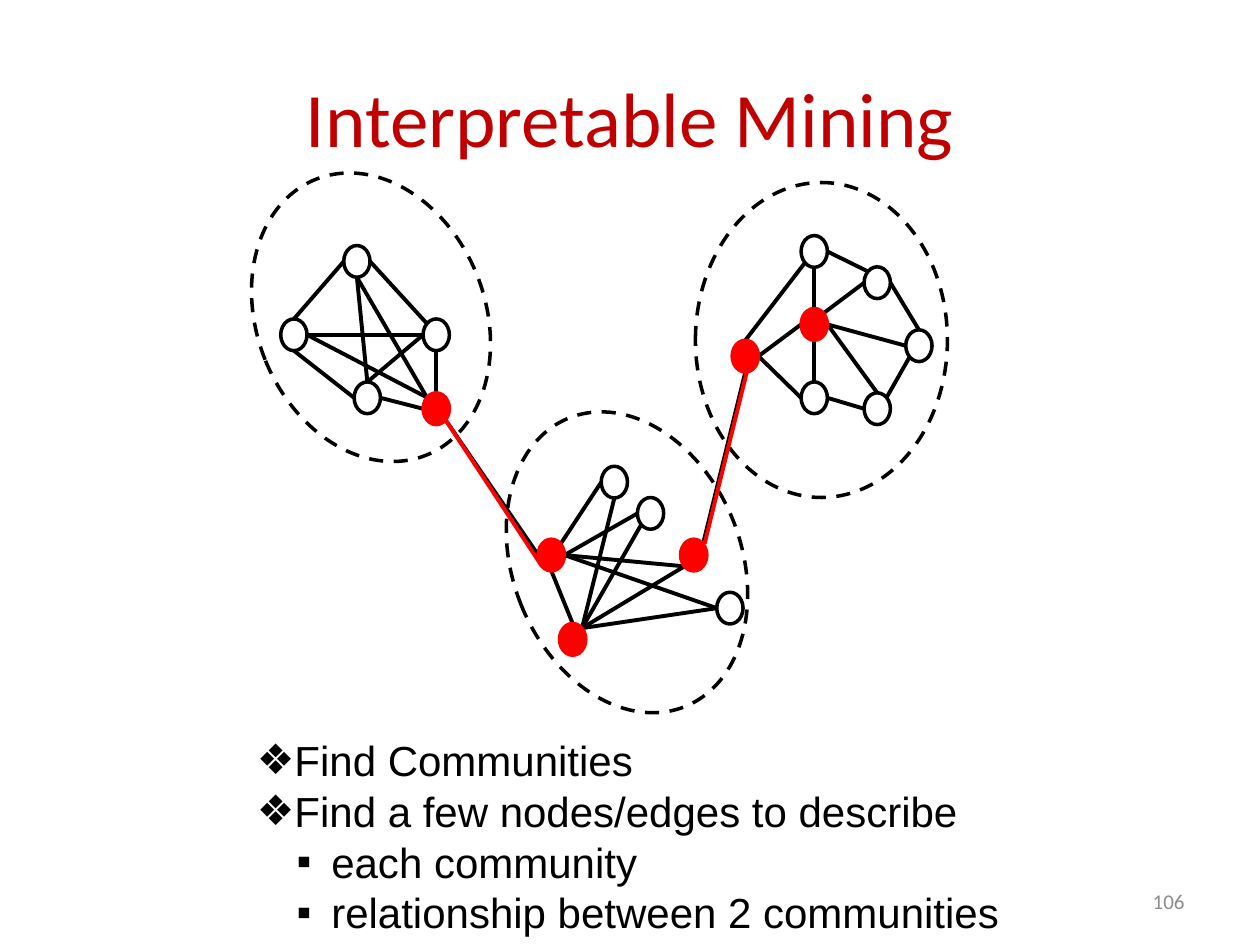
from lxml import etree
from pptx import Presentation, util as u
from pptx.dml.color import RGBColor
from pptx.enum import dml, shapes, text
from pptx.oxml.ns import qn

COLORS = {"title": "C00000", "ink": "000000", "key": "FF0000", "muted": "8C8C8C"}
NODE_WIDTH, NODE_HEIGHT = 0.53, 0.64

# Points on a node's outline, as offsets from its centre in half-sizes
SITES = {"n": (0, -1), "s": (0, 1), "w": (-1, 0), "e": (1, 0),
         "nw": (-0.71, -0.71), "ne": (0.71, -0.71),
         "sw": (-0.71, 0.71), "se": (0.71, 0.71)}

# Left, top, width, height, rotation
COMMUNITIES = [(14.02, 3.68, 5.08, 6.35, 0),
               (5.18, 3.4, 4.6, 5.99, 338.1),
               (10.34, 8.2, 4.6, 6.27, 338.1)]

# Community and position within it: left, top
NODES = {
    "left_top": (6.93, 4.95), "left_west": (5.66, 6.43),
    "left_south": (7.14, 7.7), "left_east": (8.53, 6.43),
    "left_gate": (8.53, 7.92),
    "right_top": (16.15, 4.75), "right_ne": (17.42, 5.38),
    "right_east": (18.26, 6.65), "right_se": (17.42, 7.92),
    "right_south": (16.15, 7.7), "right_hub": (16.15, 6.22),
    "right_gate": (14.76, 6.86),
    "low_top": (12.12, 9.4), "low_ne": (12.85, 10.03),
    "low_east": (14.45, 11.94), "low_west": (10.85, 10.87),
    "low_south": (11.28, 12.57), "low_gate": (13.72, 10.87),
}
KEY_NODES = {"left_gate", "right_hub", "right_gate", "low_west", "low_south", "low_gate"}

EDGES = [
    "left_west e left_east w", "left_top e left_east nw", "left_west n left_top w",
    "left_south n left_top s", "left_gate n left_east s", "left_gate w left_south e",
    "left_south w left_west s", "left_top s left_gate nw", "left_west e left_gate nw",
    "left_south n left_east w",
    "right_top e right_ne nw", "right_hub e right_east w", "right_south e right_se w",
    "right_ne e right_east n", "right_hub e right_se n", "right_se ne right_east sw",
    "right_top s right_hub n", "right_ne w right_hub ne", "right_hub s right_south n",
    "right_gate e right_hub w", "right_gate e right_south w", "right_gate n right_top sw",
    "low_south ne low_ne sw", "low_top s low_south ne", "low_top w low_west ne",
    "low_south ne low_east w", "low_west e low_ne w", "low_south n low_west s",
    "low_south ne low_gate sw", "low_gate sw low_west e", "low_west e low_east w",
    "left_gate se low_west w", "low_gate ne right_gate s",
]
# Bridges between communities, drawn just beside their black edges
KEY_EDGES = [("low_west sw left_gate se", 0), ("low_gate ne right_gate s", 0.03)]

# Bullet character, left margin, hanging indent, wording
POINTS = [("❖", 0.74, 0.74, "Find Communities"),
          ("❖", 0.74, 0.74, "Find a few nodes/edges to describe"),
          ("▪", 1.5, 0.7, "each community"),
          ("▪", 1.5, 0.7, "relationship between 2 communities")]


def rgb(name):
    return RGBColor.from_string(COLORS[name])


def site_point(node, site):
    left, top = NODES[node]
    across, down = SITES[site]
    return (left + NODE_WIDTH / 2 * (1 + across), top + NODE_HEIGHT / 2 * (1 + down))


class Painter:
    """Holds the style and the current slide."""

    def __init__(self, slide):
        self.slide = slide
        self.edge_width = u.Pt(2.25)
        self.outline_width = u.Pt(2)

    def ellipse(self, left, top, width, height, line="ink", fill=None, rotation=0, dashed=False):
        shape = self.slide.shapes.add_shape(
            shapes.MSO_SHAPE.OVAL, u.Cm(left), u.Cm(top), u.Cm(width), u.Cm(height))
        shape.shadow.inherit = False
        shape.rotation = rotation
        if fill:
            shape.fill.solid()
            shape.fill.fore_color.rgb = rgb(fill)
        else:
            shape.fill.background()
        shape.line.color.rgb = rgb(line)
        shape.line.width = self.outline_width
        if dashed:
            shape.line.dash_style = dml.MSO_LINE.DASH

    def node(self, name):
        key = name in KEY_NODES
        self.ellipse(*NODES[name], NODE_WIDTH, NODE_HEIGHT,
                     line="key" if key else "ink", fill="key" if key else None)

    def edge(self, route, color="ink", shift=0):
        start, start_site, end, end_site = route.split()
        x1, y1 = site_point(start, start_site)
        x2, y2 = site_point(end, end_site)
        connector = self.slide.shapes.add_connector(
            shapes.MSO_CONNECTOR.STRAIGHT,
            u.Cm(x1 + shift), u.Cm(y1), u.Cm(x2 + shift), u.Cm(y2))
        connector.line.color.rgb = rgb(color)
        connector.line.width = self.edge_width
        etree.SubElement(connector._element.spPr, qn("a:effectLst"))

    def text_box(self, left, top, width, height, anchor):
        box = self.slide.shapes.add_textbox(u.Cm(left), u.Cm(top), u.Cm(width), u.Cm(height))
        box.text_frame.word_wrap = True
        box.text_frame.vertical_anchor = anchor
        return box.text_frame

    def run(self, paragraph, words, size, font, color):
        run = paragraph.add_run()
        run.text = words
        run.font.size = u.Pt(size)
        run.font.name = font
        run.font.color.rgb = rgb(color)

    def label(self, words, place, size, color, alignment):
        frame = self.text_box(*place, text.MSO_ANCHOR.MIDDLE)
        paragraph = frame.paragraphs[0]
        paragraph.alignment = alignment
        self.run(paragraph, words, size, "Calibri", color)

    def bullets(self, points, place):
        frame = self.text_box(*place, text.MSO_ANCHOR.TOP)
        for index, (mark, margin, hanging, words) in enumerate(points):
            paragraph = frame.add_paragraph() if index else frame.paragraphs[0]
            paragraph.line_spacing = u.Pt(29)
            properties = paragraph._p.get_or_add_pPr()
            properties.set("marL", str(u.Cm(margin)))
            properties.set("indent", str(-u.Cm(hanging)))
            etree.SubElement(properties, qn("a:buFont"), typeface="Arial")
            etree.SubElement(properties, qn("a:buChar"), char=mark)
            self.run(paragraph, words, 24, "Arial", "ink")


def main():
    presentation = Presentation()
    presentation.slide_width, presentation.slide_height = u.Cm(25.4), u.Cm(19.05)
    painter = Painter(presentation.slides.add_slide(presentation.slide_layouts[6]))

    painter.label("Interpretable Mining", (1.27, 0.76, 22.86, 3.18), 44, "title",
                  text.PP_ALIGN.CENTER)
    for *place, rotation in COMMUNITIES:
        painter.ellipse(*place, rotation=rotation, dashed=True)
    for route in EDGES:
        painter.edge(route)
    for route, shift in KEY_EDGES:
        painter.edge(route, "key", shift)
    for name in NODES:
        painter.node(name)
    painter.bullets(POINTS, (4.93, 14.68, 16.03, 4.37))
    painter.label("106", (18.21, 17.65, 5.92, 1.02), 12, "muted", text.PP_ALIGN.RIGHT)

    presentation.save("out.pptx")


if __name__ == "__main__":
    main()
